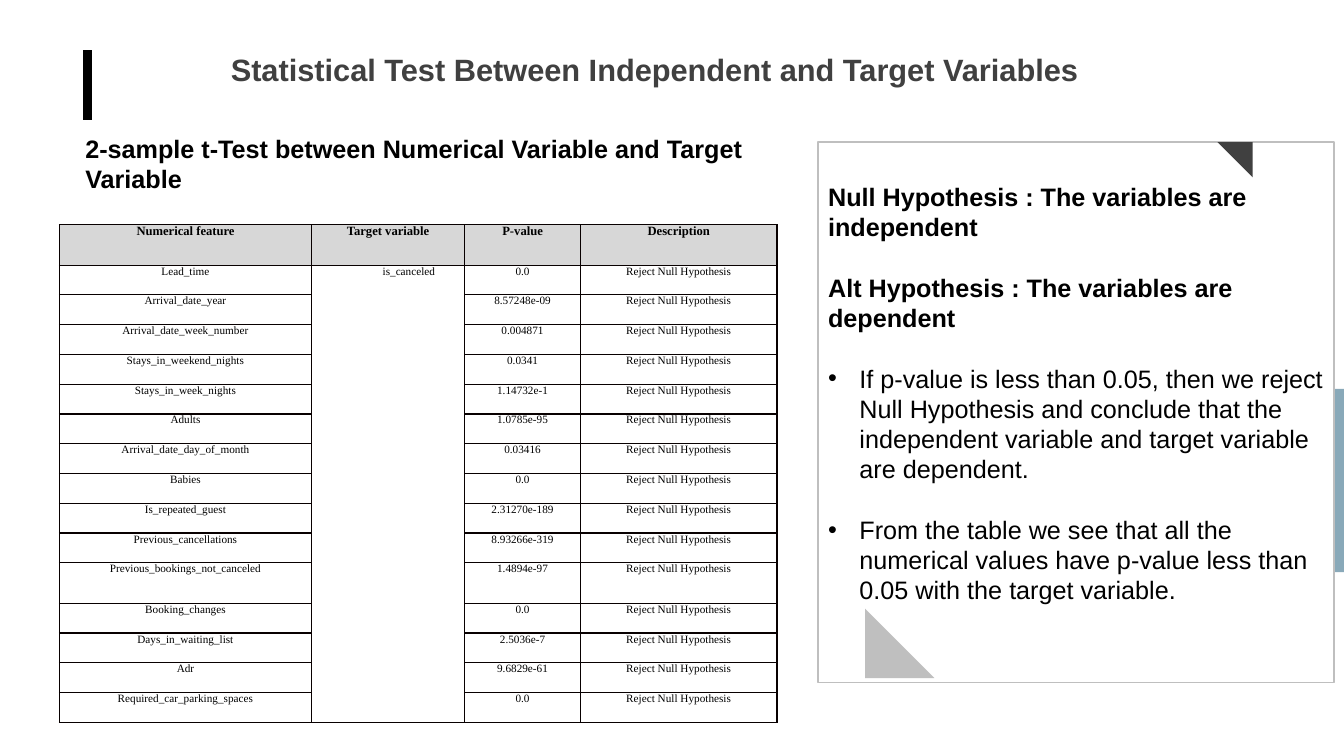
from lxml import etree
from pptx import Presentation
from pptx.dml.color import RGBColor
from pptx.enum import shapes, text
from pptx.oxml import ns
from pptx.util import Cm, Pt

BLACK = RGBColor(0x00, 0x00, 0x00)
WHITE = RGBColor(0xFF, 0xFF, 0xFF)
DARK = RGBColor(0x40, 0x40, 0x40)
SILVER = RGBColor(0xBF, 0xBF, 0xBF)
HEADER = RGBColor(0xD7, 0xD7, 0xD7)
ACCENT = RGBColor(0x89, 0xA9, 0xB9)
GRID = RGBColor(0x08, 0x00, 0x00)
CENTER = text.PP_ALIGN.CENTER


def write(para, words, color=BLACK, **formats):
    span = para.add_run()
    span.text = words
    span.font.color.rgb = color
    for name, value in formats.items():
        setattr(span.font, name, value)


def add_box(left, top, width, height):
    box = page.shapes.add_textbox(Cm(left), Cm(top), Cm(width), Cm(height))
    box.text_frame.word_wrap = True
    return box.text_frame


deck = Presentation()
deck.slide_width, deck.slide_height = Cm(33.87), Cm(19.05)
page = deck.slides.add_slide(deck.slide_layouts[5])

# Title
title = page.shapes.title
title.left, title.top, title.width, title.height = Cm(1.68), Cm(1.14), Cm(29.64), Cm(1.2)
frame = title.text_frame
frame.word_wrap = True
frame.auto_size = text.MSO_AUTO_SIZE.NONE
frame.vertical_anchor = text.MSO_ANCHOR.TOP
frame.paragraphs[0].alignment = CENTER
write(frame.paragraphs[0], "Statistical Test Between Independent and Target Variables",
      DARK, name="Arial", size=Pt(22), bold=True)

# Vertical rule beside the title
rule = page.shapes.add_connector(shapes.MSO_CONNECTOR.STRAIGHT,
                                 Cm(2.21), Cm(1.27), Cm(2.21), Cm(3.02))
rule.line.color.rgb = BLACK
rule.line.width = Pt(6)
etree.SubElement(rule._element.spPr, ns.qn("a:effectLst"))

# Accent bar, hypothesis panel and its corner triangles
RECTANGLE = shapes.MSO_SHAPE.RECTANGLE
TRIANGLE = shapes.MSO_SHAPE.RIGHT_TRIANGLE
for kind, left, top, width, height, color, turn in (
    (RECTANGLE, 20.75, 9.8, 13.12, 4.62, ACCENT, 0),
    (RECTANGLE, 20.62, 3.58, 13.0, 13.62, WHITE, 0),
    (TRIANGLE, 21.8, 15.34, 1.75, 1.75, SILVER, 0),
    (TRIANGLE, 30.68, 3.58, 0.89, 0.89, DARK, 180),
):
    shape = page.shapes.add_shape(kind, Cm(left), Cm(top), Cm(width), Cm(height))
    shape.shadow.inherit = False
    shape.rotation = turn
    shape.fill.solid()
    shape.fill.fore_color.rgb = color
    if color == WHITE:
        shape.line.color.rgb = SILVER
        shape.line.width = Pt(1)
    else:
        shape.line.fill.background()

# Hypotheses and conclusions
frame = add_box(20.62, 4.45, 13.0, 13.0)
notes = (
    ("Null Hypothesis : The variables are independent", False),
    ("Alt Hypothesis : The variables are dependent", False),
    ("If p-value is less than 0.05, then we reject Null Hypothesis and conclude that "
     "the independent variable and target variable are dependent.", True),
    ("From the table we see that all the numerical values have p-value less than "
     "0.05 with the target variable.", True),
)
for index, (words, bulleted) in enumerate(notes):
    para = frame.add_paragraph() if index else frame.paragraphs[0]
    if index:
        para.space_before = Pt(21.6)
    if bulleted:
        layout = para._p.get_or_add_pPr()
        layout.set("marL", str(Cm(0.79)))
        layout.set("indent", str(-Cm(0.79)))
        etree.SubElement(layout, ns.qn("a:buFont"), typeface="Arial")
        etree.SubElement(layout, ns.qn("a:buChar"), char="•")
    write(para, words, name="Arial", size=Pt(18), bold=not bulleted)

# Table heading
frame = add_box(1.9, 3.23, 17.68, 1.8)
write(frame.paragraphs[0], "2-sample t-Test between Numerical Variable and Target Variable",
      name="Arial", size=Pt(18), bold=True)

# Table of test results
results = (
    ("Lead_time", "0.0"),
    ("Arrival_date_year", "8.57248e-09"),
    ("Arrival_date_week_number", "0.004871"),
    ("Stays_in_weekend_nights", "0.0341"),
    ("Stays_in_week_nights", "1.14732e-1"),
    ("Adults", "1.0785e-95"),
    ("Arrival_date_day_of_month", "0.03416"),
    ("Babies", "0.0"),
    ("Is_repeated_guest", "2.31270e-189"),
    ("Previous_cancellations", "8.93266e-319"),
    ("Previous_bookings_not_canceled", "1.4894e-97"),
    ("Booking_changes", "0.0"),
    ("Days_in_waiting_list", "2.5036e-7"),
    ("Adr", "9.6829e-61"),
    ("Required_car_parking_spaces", "0.0"),
)
rows = [("Numerical feature", "Target variable", "P-value", "Description")]
rows += [(feature, "", value, "Reject Null Hypothesis") for feature, value in results]
rows[1] = (rows[1][0], "is_canceled", *rows[1][2:])

grid = page.shapes.add_table(len(rows), 4, Cm(1.5), Cm(5.66), Cm(18.08), Cm(12.57)).table
grid.first_row = grid.horz_banding = False
for column, width in zip(grid.columns, (6.35, 3.86, 2.92, 4.95)):
    column.width = Cm(width)

for index, row in enumerate(rows):
    tall = row[0] in ("Numerical feature", "Previous_bookings_not_canceled")
    grid.rows[index].height = Cm(1.02 if tall else 0.75)
    for column, words in enumerate(row):
        cell = grid.cell(index, column)
        cell.margin_left = Cm(1.23 if words == "is_canceled" else 0.18)
        cell.margin_right = Cm(0.18)
        cell.margin_top = cell.margin_bottom = 0
        if index == 0:
            cell.fill.solid()
            cell.fill.fore_color.rgb = HEADER
        else:
            cell.fill.background()
        for place, side in enumerate(("lnL", "lnR", "lnT", "lnB")):
            edge = etree.Element(ns.qn("a:" + side), w=str(Pt(1)))
            paint = etree.SubElement(edge, ns.qn("a:solidFill"))
            etree.SubElement(paint, ns.qn("a:srgbClr"), val=str(GRID))
            cell._tc.get_or_add_tcPr().insert(place, edge)
        para = cell.text_frame.paragraphs[0]
        para.alignment = CENTER
        if words:
            write(para, words, name="Times New Roman",
                  size=Pt(8 if index else 9), bold=index == 0)
        else:
            etree.SubElement(para._p, ns.qn("a:endParaRPr"), sz="800")
grid.cell(1, 1).merge(grid.cell(len(results), 1))

deck.save("out.pptx")
